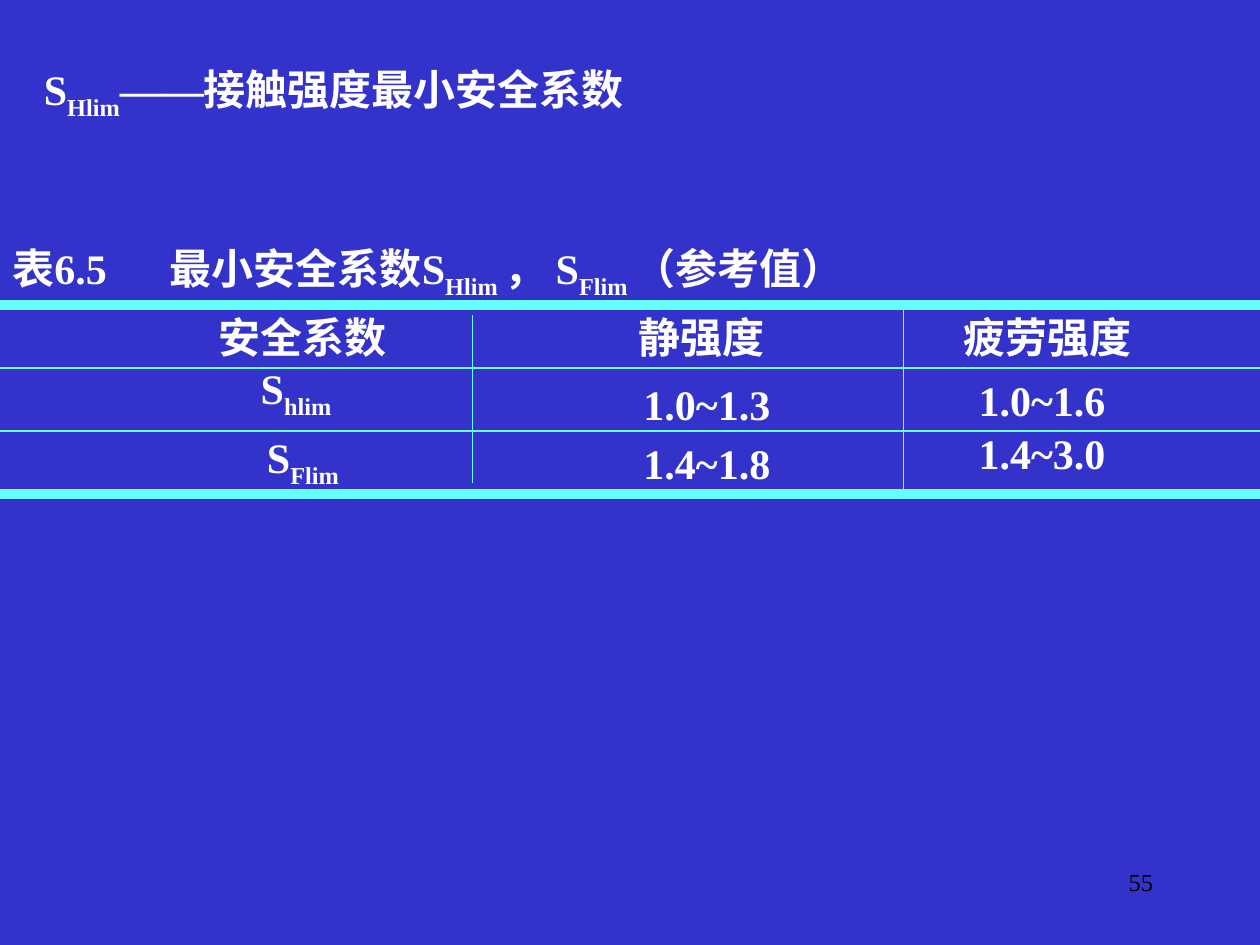
from typing import NamedTuple

from lxml.etree import SubElement
from pptx import Presentation
from pptx.dml.color import RGBColor
from pptx.enum.shapes import MSO_CONNECTOR
from pptx.enum.text import MSO_AUTO_SIZE, PP_ALIGN
from pptx.oxml.ns import qn
from pptx.util import Inches, Pt

COLORS = {"back": "3333CC", "rule": "66FFFF", "text": "FFFFFF", "page": "000000"}
FONT = "Times New Roman"
WIDE, HIGH = 10, 7.5
TOP, BASE = 2.42, 3.92


class Rule(NamedTuple):
    x1: float
    y1: float
    x2: float
    y2: float
    width: float = 0.75


class Cell(NamedTuple):
    text: str
    left: float
    top: float
    width: float
    height: float = 0.42
    space: float = 0.8


RULES = [
    Rule(0, TOP, WIDE, TOP, 6),
    Rule(0, 2.92, WIDE, 2.92),
    Rule(0, 3.42, WIDE, 3.42),
    Rule(0, BASE, WIDE, BASE, 6),
    Rule(3.75, 2.5, 3.75, 3.83),
    Rule(7.17, TOP, 7.17, BASE),
]

CELLS = [
    Cell("安全系数", 1.63, 2.5, 1.54),
    Cell("静强度", 4.96, 2.42, 1.22, 0.5, 1),
    Cell("疲劳强度", 7.54, 2.42, 1.55, 0.5, 1),
    Cell("S|hlim", 1.96, 2.83, 0.78, 0.56, 1),
    Cell("1.0~1.3", 4.99, 3.03, 1.24),
    Cell("1.0~1.6", 7.65, 3, 1.24),
    Cell("S|Flim", 2.01, 3.42, 0.79, 0.47),
    Cell("1.4~1.8", 4.99, 3.5, 1.24),
    Cell("1.4~3.0", 7.65, 3.42, 1.24),
]


def add_text(slide, text: str, left: float, top: float, width: float,
             height: float, *, size: float = 24, color: str = "text",
             bold: bool = True, align=PP_ALIGN.LEFT, space: float = 0.8,
             wrap: bool = True, grow: bool = True, tab: float = 0) -> None:
    box = slide.shapes.add_textbox(
        Inches(left), Inches(top), Inches(width), Inches(height))
    frame = box.text_frame
    frame.word_wrap = wrap
    frame.auto_size = (
        MSO_AUTO_SIZE.SHAPE_TO_FIT_TEXT if grow else MSO_AUTO_SIZE.NONE)
    para = frame.paragraphs[0]
    para.alignment = align
    para.line_spacing = space
    if tab:
        stops = SubElement(para._p.get_or_add_pPr(), qn("a:tabLst"))
        SubElement(stops, qn("a:tab"), pos=str(Inches(tab)), algn="l")
    for index, part in enumerate(text.split("|")):
        run = para.add_run()
        run.text = part
        font = run.font
        font.name = FONT
        font.size = Pt(size)
        font.bold = bold
        font.color.rgb = RGBColor.from_string(COLORS[color])
        if index % 2:
            run._r.get_or_add_rPr().set("baseline", "-25000")


def add_rule(slide, rule: Rule) -> None:
    line = slide.shapes.add_connector(
        MSO_CONNECTOR.STRAIGHT, Inches(rule.x1), Inches(rule.y1),
        Inches(rule.x2), Inches(rule.y2))
    line.line.color.rgb = RGBColor.from_string(COLORS["rule"])
    line.line.width = Pt(rule.width)
    SubElement(line._element.spPr, qn("a:effectLst"))


def main() -> None:
    deck = Presentation()
    deck.slide_width, deck.slide_height = Inches(WIDE), Inches(HIGH)
    slide = deck.slides.add_slide(deck.slide_layouts[6])
    fill = slide.background.fill
    fill.solid()
    fill.fore_color.rgb = RGBColor.from_string(COLORS["back"])

    add_text(slide, "55", 7.17, 6.83, 2.08, 0.5, size=14, color="page",
             bold=False, align=PP_ALIGN.RIGHT, space=1, grow=False)
    add_text(slide, "S|Hlim|——接触强度最小安全系数", 0.25, 0.5, 7.77, 0.47)
    add_text(slide, "表6.5\t最小安全系数S|Hlim |， S|Flim |（参考值）",
             0, 1.92, 7.77, 0.47, tab=1.25)
    for rule in RULES:
        add_rule(slide, rule)
    for cell in CELLS:
        add_text(slide, cell.text, cell.left, cell.top, cell.width, cell.height,
                 align=PP_ALIGN.CENTER, space=cell.space, wrap=False)
    deck.save("out.pptx")


if __name__ == "__main__":
    main()
